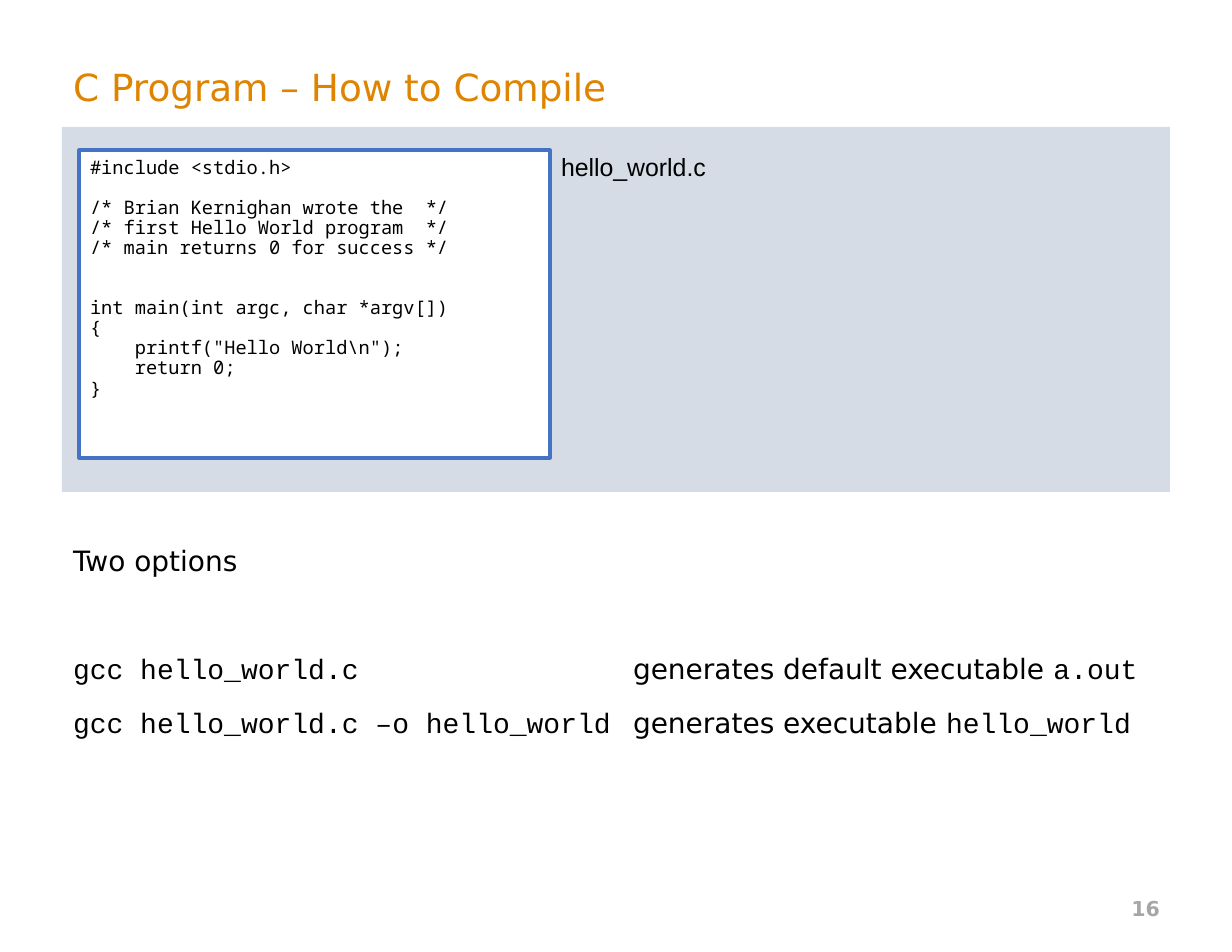
from dataclasses import dataclass

import pptx
import pptx.util
from pptx.dml.color import RGBColor
from pptx.enum.shapes import MSO_SHAPE
from pptx.enum.text import MSO_ANCHOR, MSO_AUTO_SIZE, PP_ALIGN
from pptx.oxml import parse_xml
from pptx.oxml.ns import nsdecls

PX = pptx.util.Inches(1) // 112  # slide is 1232 x 952 px

ORANGE = RGBColor(0xDE, 0x84, 0x00)
GRAY = RGBColor(0xA6, 0xA6, 0xA6)
PANEL = RGBColor(0xD6, 0xDC, 0xE5)
BLUE = RGBColor(0x44, 0x72, 0xC4)
WHITE = RGBColor(0xFF, 0xFF, 0xFF)
BLACK = RGBColor(0, 0, 0)

SANS, COURIER, MONO = "DejaVu Sans", "Courier New", "Noto Sans Mono"

CODE = r'''#include <stdio.h>

/* Brian Kernighan wrote the  */
/* first Hello World program  */
/* main returns 0 for success */


int main(int argc, char *argv[])
{
    printf("Hello World\n");
    return 0;
}'''


@dataclass(frozen=True)
class Box:
    x: int
    y: int
    w: int
    h: int

    def emu(self) -> tuple:
        return tuple(v * PX for v in (self.x, self.y, self.w, self.h))


@dataclass(frozen=True)
class Command:
    line: str
    effect: str
    output: str
    space_before: float


COMMANDS = [
    Command("gcc hello_world.c", "generates default executable ", "a.out", 48),
    Command("gcc hello_world.c –o hello_world", "generates executable ",
            "hello_world", 13.2),
]


def add_run(p, text: str, size: float, font: str,
            color: RGBColor = BLACK, bold: bool = False) -> None:
    r = p.add_run()
    r.text = text
    r.font.size = pptx.util.Pt(size)
    r.font.name = font
    r.font.bold = bold
    r.font.color.rgb = color


def add_rect(s, box: Box, fill: RGBColor):
    sp = s.shapes.add_shape(MSO_SHAPE.RECTANGLE, *box.emu())
    sp.shadow.inherit = False
    sp.fill.solid()
    sp.fill.fore_color.rgb = fill
    sp.line.fill.background()
    return sp


def add_text_box(s, box: Box, wrap: bool = True):
    tf = s.shapes.add_textbox(*box.emu()).text_frame
    tf.word_wrap = wrap
    return tf


def set_tab(p, position: int) -> None:
    p._p.get_or_add_pPr().append(parse_xml(
        f'<a:tabLst {nsdecls("a")}><a:tab pos="{position}" algn="l"/></a:tabLst>'))


def add_title(s) -> None:
    sp = s.shapes.title
    sp.left, sp.top, sp.width, sp.height = Box(62, 38, 1108, 98).emu()
    tf = sp.text_frame
    tf.auto_size = MSO_AUTO_SIZE.NONE
    tf.vertical_anchor = MSO_ANCHOR.MIDDLE
    p = tf.paragraphs[0]
    p.alignment = PP_ALIGN.LEFT
    add_run(p, "C Program – How to Compile", 24, SANS, ORANGE)


def add_code(s) -> None:
    sp = add_rect(s, Box(79, 150, 471, 308), WHITE)
    sp.line.color.rgb = BLUE
    sp.line.width = pptx.util.Pt(2)
    tf = sp.text_frame
    tf.vertical_anchor = MSO_ANCHOR.TOP
    tf.margin_top = 8 * PX
    for i, line in enumerate(CODE.split("\n")):
        p = tf.add_paragraph() if i else tf.paragraphs[0]
        p.alignment = PP_ALIGN.LEFT
        p.line_spacing = pptx.util.Pt(12.9)
        if line:
            add_run(p, line, 12, MONO)


def add_options(s) -> None:
    tf = add_text_box(s, Box(62, 538, 1150, 213))
    add_run(tf.paragraphs[0], "Two options", 18, SANS)
    for c in COMMANDS:
        p = tf.add_paragraph()
        p.space_before = pptx.util.Pt(c.space_before)
        set_tab(p, 560 * PX)
        add_run(p, c.line + "\t", 18, COURIER)
        add_run(p, c.effect, 18, SANS)
        add_run(p, c.output, 18, COURIER)


def main() -> None:
    prs = pptx.Presentation()
    prs.slide_width, prs.slide_height = 1232 * PX, 952 * PX
    s = prs.slides.add_slide(prs.slide_layouts[5])
    add_title(s)

    # Page number
    tf = add_text_box(s, Box(883, 883, 288, 50))
    tf.vertical_anchor = MSO_ANCHOR.MIDDLE
    p = tf.paragraphs[0]
    p.alignment = PP_ALIGN.RIGHT
    add_run(p, "16", 13.2, SANS, GRAY, bold=True)

    # Source listing with its file name
    add_rect(s, Box(62, 127, 1108, 365), PANEL)
    add_code(s)
    tf = add_text_box(s, Box(550, 150, 169, 38), wrap=False)
    p = tf.paragraphs[0]
    p.line_spacing = 0.9
    add_run(p, "hello_world.c", 16, "Arial")

    # Compile commands
    add_options(s)
    prs.save("out.pptx")


if __name__ == "__main__":
    main()
